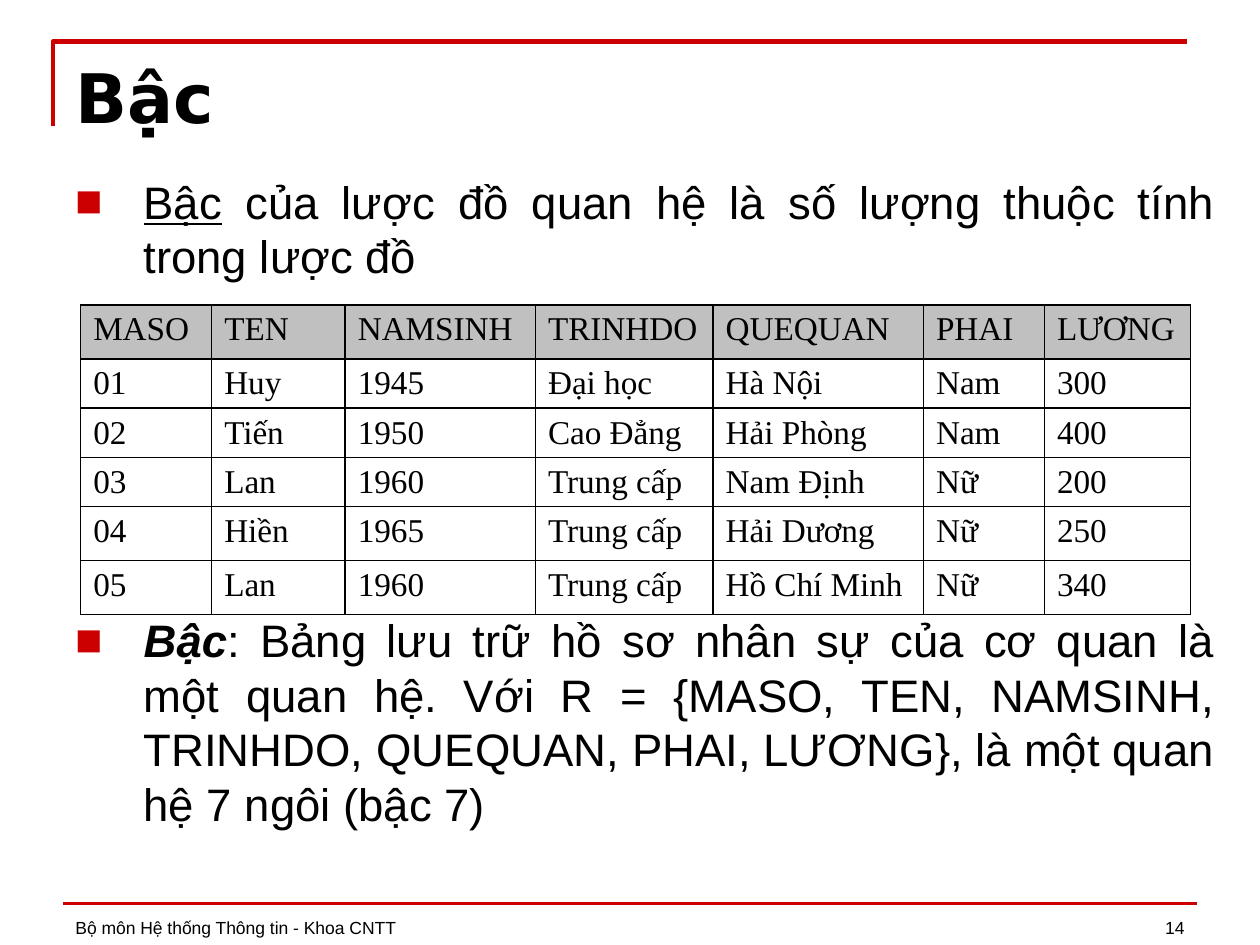
from lxml.etree import SubElement
from pptx import Presentation
from pptx.dml.color import RGBColor
from pptx.enum.shapes import MSO_CONNECTOR
from pptx.enum.text import MSO_ANCHOR, MSO_AUTO_SIZE, PP_ALIGN
from pptx.oxml import parse_xml
from pptx.oxml.ns import nsdecls, qn
from pptx.util import Inches, Pt

THEME = {
    "black": RGBColor(0, 0, 0),
    "red": RGBColor(0xCC, 0, 0),
    "header": RGBColor(0xC0, 0xC0, 0xC0),
    "white": RGBColor(255, 255, 255),
    "title": {"name": "DejaVu Sans", "size": Pt(39), "bold": True},
    "body": {"name": "Arial", "size": Pt(26)},
    "cell": {"name": "Times New Roman", "size": Pt(19)},
    "footer": {"name": "Arial", "size": Pt(10)},
}

prs = Presentation()
prs.slide_width, prs.slide_height = Inches(10), Inches(7.5)
COL, ROW = prs.slide_width / 100, prs.slide_height / 100


def box(col, row, cols, rows):
    return int(col * COL), int(row * ROW), int(cols * COL), int(rows * ROW)


def write(p, text, **fmt):
    r = p.add_run()
    r.text = text
    r.font.color.rgb = THEME["black"]
    for key, value in fmt.items():
        setattr(r.font, key, value)


s = prs.slides.add_slide(prs.slide_layouts[1])
title, body = s.placeholders

left, top, width, height = box(4.2, 4.4, 90, 8.93)
fb = s.shapes.build_freeform(left, top + height)
fb.add_line_segments([(left, top), (left + width, top)], close=False)
corner = fb.convert_to_shape()
corner.shadow.inherit = False
corner.fill.background()

left, top, width, height = box(5, 95.6, 90, 0)
rule = s.shapes.add_connector(MSO_CONNECTOR.STRAIGHT, left, top, left + width, top)
SubElement(rule._element.spPr, qn("a:effectLst"))
for sp, weight in ((corner, 2.5), (rule, 2)):
    sp.line.color.rgb = THEME["red"]
    sp.line.width = Pt(weight)

for sp, area in ((title, (5, 5.2, 90, 11.47)), (body, (5, 17.73, 92.5, 71.6))):
    sp.left, sp.top, sp.width, sp.height = box(*area)
    tf = sp.text_frame
    tf.word_wrap = True
    tf.auto_size = MSO_AUTO_SIZE.NONE
    tf.vertical_anchor = MSO_ANCHOR.TOP

p = title.text_frame.paragraphs[0]
p.alignment = PP_ALIGN.LEFT
write(p, "Bậc", **THEME["title"])

definitions = [
    (0, {"underline": True}, " của lược đồ quan hệ là số lượng thuộc tính trong lược đồ"),
    (188, {"bold": True, "italic": True},
     ": Bảng lưu trữ hồ sơ nhân sự của cơ quan là một quan hệ. Với R = {MASO, TEN, "
     "NAMSINH, TRINHDO, QUEQUAN, PHAI, LƯƠNG}, là một quan hệ 7 ngôi (bậc 7)"),
]
tf = body.text_frame
for i, (gap, term_format, text) in enumerate(definitions):
    p = tf.add_paragraph() if i else tf.paragraphs[0]
    p.alignment = PP_ALIGN.JUSTIFY
    p.space_before = Pt(gap)
    pPr = p._p.get_or_add_pPr()
    pPr.set("marL", str(int(5.4 * COL)))
    pPr.set("indent", str(-int(5.4 * COL)))
    color = SubElement(pPr, qn("a:buClr"))
    SubElement(color, qn("a:srgbClr"), val=str(THEME["red"]))
    SubElement(pPr, qn("a:buFont"), typeface="Arial")
    SubElement(pPr, qn("a:buChar"), char="■")
    write(p, "Bậc", **THEME["body"], **term_format)
    write(p, text, **THEME["body"])

for area, align, text in (
    ((5, 93.2, 60.8, 6.67), PP_ALIGN.LEFT, "Bộ môn Hệ thống Thông tin - Khoa CNTT"),
    ((71.7, 93.2, 23.3, 6.67), PP_ALIGN.RIGHT, "14"),
):
    tf = s.shapes.add_textbox(*box(*area)).text_frame
    tf.word_wrap = True
    tf.vertical_anchor = MSO_ANCHOR.BOTTOM
    p = tf.paragraphs[0]
    p.alignment = align
    write(p, text, **THEME["footer"])

staff = [
    ("MASO", "TEN", "NAMSINH", "TRINHDO", "QUEQUAN", "PHAI", "LƯƠNG"),
    ("01", "Huy", "1945", "Đại học", "Hà Nội", "Nam", "300"),
    ("02", "Tiến", "1950", "Cao Đẳng", "Hải Phòng", "Nam", "400"),
    ("03", "Lan", "1960", "Trung cấp", "Nam Định", "Nữ", "200"),
    ("04", "Hiền", "1965", "Trung cấp", "Hải Dương", "Nữ", "250"),
    ("05", "Lan", "1960", "Trung cấp", "Hồ Chí Minh", "Nữ", "340"),
]
col_widths = [10.4, 10.6, 15.1, 14.1, 16.7, 9.6, 11.6]
row_heights = [5.73, 5.2, 5.2, 5.2, 5.73, 5.73]
table = s.shapes.add_table(
    len(staff), len(col_widths), *box(6.4, 32.27, sum(col_widths), sum(row_heights))
).table
table.first_row = table.horz_banding = False
for column, cols in zip(table.columns, col_widths):
    column.width = int(cols * COL)
for row, rows in zip(table.rows, row_heights):
    row.height = int(rows * ROW)

for i, record in enumerate(staff):
    for j, text in enumerate(record):
        cell = table.cell(i, j)
        cell.margin_bottom = int(0.2 * ROW)
        write(cell.text_frame.paragraphs[0], text, **THEME["cell"])
        tcPr = cell._tc.get_or_add_tcPr()
        for side in ("lnL", "lnR", "lnT", "lnB"):
            tcPr.append(parse_xml(
                f'<a:{side} {nsdecls("a")} w="{Pt(1)}"><a:solidFill>'
                f'<a:srgbClr val="{THEME["black"]}"/></a:solidFill></a:{side}>'
            ))
        cell.fill.solid()
        cell.fill.fore_color.rgb = THEME["white" if i else "header"]

prs.save("out.pptx")
